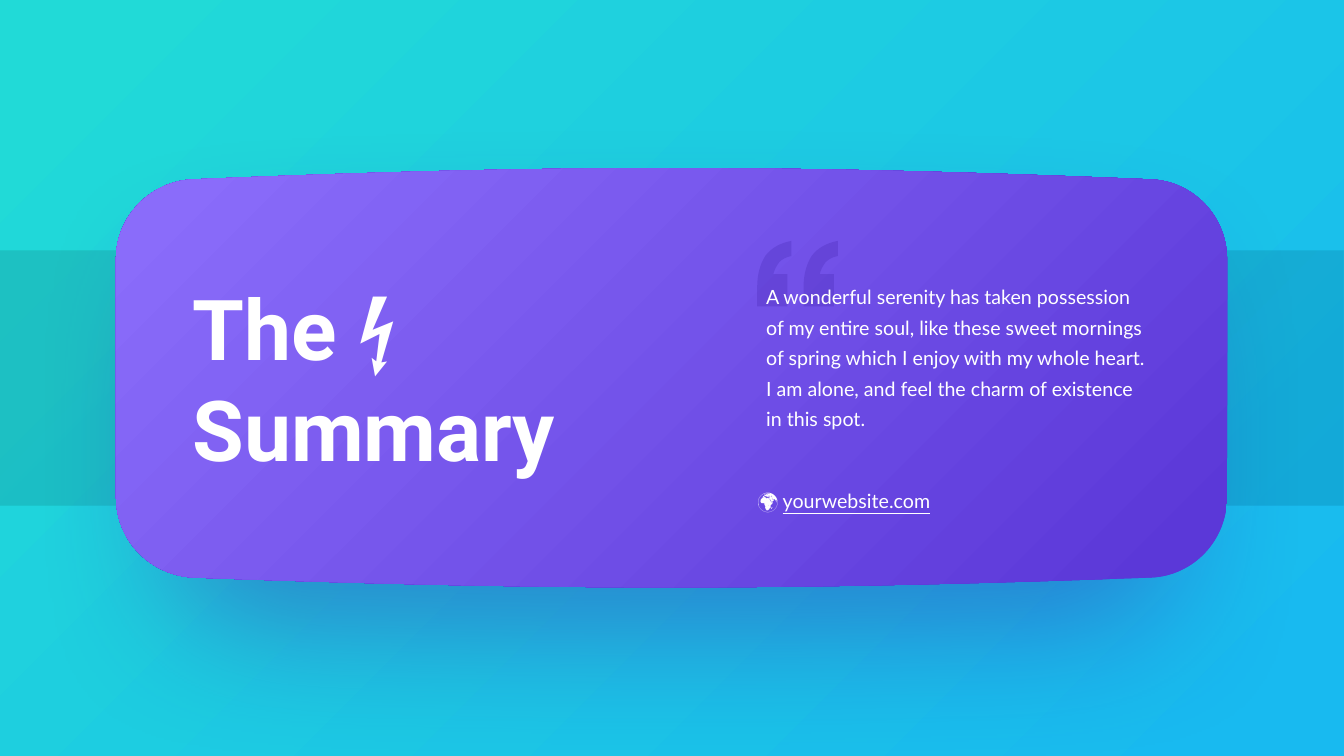
from dataclasses import dataclass

import lxml.etree
import pptx
import pptx.dml.color
import pptx.enum.shapes
import pptx.enum.text
import pptx.oxml.ns
import pptx.util
from pptx.util import Inches

Point = tuple[float, float]
Segment = tuple[Point, ...]


@dataclass(frozen=True)
class Gradient:
    start: str
    end: str
    opacity: int = 100


@dataclass(frozen=True)
class Theme:
    backdrop: Gradient = Gradient("21DAD7", "18BAF0")
    band: Gradient = Gradient("19A3A1", "0C8EBA", 40)
    card: Gradient = Gradient("8A6CFA", "5B38D8")
    deep_violet: str = "3F21AB"
    text: str = "FFFFFF"
    heading_font: str = "Roboto"
    body_font: str = "Lato"
    heading_size: int = 60
    body_size: int = 14


@dataclass(frozen=True)
class Box:
    left: float
    top: float
    width: float
    height: float


@dataclass(frozen=True)
class Outline:
    start: Point
    segments: tuple[Segment, ...]

    def shifted(self, dx: float) -> "Outline":
        return Outline((self.start[0] + dx, self.start[1]),
                       tuple(tuple((x + dx, y) for x, y in segment) for segment in self.segments))


THEME = Theme()
CARD_BOX = Box(1.15, 1.67, 11.02, 4.16)
CARD = Outline((1.15, 2.57), (
    ((1.15, 2.15), (1.49, 1.8), (1.91, 1.78)),
    ((5.5, 1.63), (7.81, 1.63), (11.42, 1.78)),
    ((11.84, 1.8), (12.17, 2.15), (12.17, 2.57)),
    ((12.17, 4.93),),
    ((12.17, 5.36), (11.84, 5.71), (11.42, 5.73)),
    ((7.81, 5.86), (5.5, 5.86), (1.92, 5.73)),
    ((1.49, 5.71), (1.15, 5.36), (1.15, 4.93)),
    ((1.15, 2.57),),
))
QUOTE_BOX = Box(7.51, 2.39, 0.81, 0.66)
QUOTE_GAP = 0.46
QUOTE_MARK = Outline((7.85, 2.39), (
    ((7.85, 2.54),),
    ((7.8, 2.55), (7.76, 2.57), (7.73, 2.6)),
    ((7.7, 2.64), (7.68, 2.68), (7.67, 2.72)),
    ((7.81, 2.72),), ((7.81, 3.04),), ((7.51, 3.04),), ((7.51, 2.85),),
    ((7.51, 2.72), (7.54, 2.62), (7.59, 2.54)),
    ((7.65, 2.46), (7.74, 2.41), (7.85, 2.39)),
))


def add_element(parent, tag: str, **attributes):
    element = lxml.etree.SubElement(parent, pptx.oxml.ns.qn(tag))
    for name, value in attributes.items():
        element.set(name, str(value))
    return element


def add_color(parent, color: str, opacity: int) -> None:
    rgb = add_element(parent, "a:srgbClr", val=color)
    if opacity < 100:
        add_element(rgb, "a:alpha", val=opacity * 1000)


def paint_gradient(fill, owner, gradient: Gradient) -> None:
    fill.gradient()
    grad_fill = owner.find(".//" + pptx.oxml.ns.qn("a:gradFill"))
    grad_fill.clear()
    grad_fill.set("rotWithShape", "1")
    stops = add_element(grad_fill, "a:gsLst")
    for position, color in ((5, gradient.start), (95, gradient.end)):
        add_color(add_element(stops, "a:gs", pos=position * 1000), color, gradient.opacity)
    corner = add_element(grad_fill, "a:path", path="circle")
    add_element(corner, "a:fillToRect", r=100000, b=100000)


def paint_solid(shape, color: str, opacity: int) -> None:
    shape.fill.solid()
    shape.fill.fore_color.rgb = pptx.dml.color.RGBColor.from_string(color)
    rgb = shape._element.spPr.find(".//" + pptx.oxml.ns.qn("a:srgbClr"))
    add_element(rgb, "a:alpha", val=opacity * 1000)


def strip_style(shape) -> None:
    shape.line.fill.background()
    shape.shadow.inherit = False


def place(shape, box: Box) -> None:
    shape.left, shape.top = Inches(box.left), Inches(box.top)
    shape.width, shape.height = Inches(box.width), Inches(box.height)


def add_outlines(slide, box: Box, outlines: list[Outline]):
    builder = slide.shapes.build_freeform(scale=1.0)
    builder.add_line_segments([(Inches(box.width), Inches(box.height))])
    shape = builder.convert_to_shape()
    place(shape, box)
    strip_style(shape)
    contour = shape._element.spPr.find(".//" + pptx.oxml.ns.qn("a:path"))
    contour.clear()
    contour.set("w", str(Inches(box.width)))
    contour.set("h", str(Inches(box.height)))
    for outline in outlines:
        for index, segment in enumerate(((outline.start,), *outline.segments)):
            tag = "a:moveTo" if index == 0 else "a:lnTo" if len(segment) == 1 else "a:cubicBezTo"
            step = add_element(contour, tag)
            for x, y in segment:
                add_element(step, "a:pt", x=Inches(x - box.left), y=Inches(y - box.top))
        add_element(contour, "a:close")
    return shape


def cast_shadow(shape, color: str, opacity: int, blur: int, distance: int, scale: int) -> None:
    effects = shape._element.spPr.find(pptx.oxml.ns.qn("a:effectLst"))
    shadow = add_element(effects, "a:outerShdw", blurRad=pptx.util.Pt(blur),
                         dist=pptx.util.Pt(distance), dir=90 * 60000,
                         sx=scale * 1000, sy=scale * 1000, algn="ctr", rotWithShape=0)
    add_color(shadow, color, opacity)


def write_text(holder, box: Box, text: str, *, font: str, size: int, bold: bool = False,
               spacing: float = 1.0, underlined: str = "") -> None:
    place(holder, box)
    frame = holder.text_frame
    frame.word_wrap = True
    frame.auto_size = pptx.enum.text.MSO_AUTO_SIZE.SHAPE_TO_FIT_TEXT
    frame.vertical_anchor = pptx.enum.text.MSO_ANCHOR.TOP
    paragraph = frame.paragraphs[0]
    paragraph.alignment = pptx.enum.text.PP_ALIGN.LEFT
    paragraph.line_spacing = spacing
    for words, underline in ((text, False), (underlined, True)):
        if not words:
            continue
        run = paragraph.add_run()
        run.text = words
        run.font.name = font
        run.font.size = pptx.util.Pt(size)
        run.font.bold = bold
        run.font.underline = underline
        run.font.color.rgb = pptx.dml.color.RGBColor.from_string(THEME.text)


def main() -> None:
    deck = pptx.Presentation()
    deck.slide_width, deck.slide_height = Inches(13.33), Inches(7.5)
    slide = deck.slides.add_slide(deck.slide_layouts[5])
    paint_gradient(slide.background.fill, slide._element, THEME.backdrop)

    band = slide.shapes.add_shape(pptx.enum.shapes.MSO_SHAPE.RECTANGLE,
                                  0, Inches(2.49), deck.slide_width, Inches(2.52))
    strip_style(band)
    paint_gradient(band.fill, band._element, THEME.band)

    card_layers = [add_outlines(slide, CARD_BOX, [CARD]) for _ in range(2)]
    for layer in card_layers:
        paint_gradient(layer.fill, layer._element, THEME.card)
    cast_shadow(card_layers[0], THEME.deep_violet, opacity=40, blur=100, distance=49, scale=90)
    slide.shapes.add_group_shape(card_layers)

    heading = slide.shapes.title
    slide.shapes._spTree.append(heading._element)
    write_text(heading, Box(1.81, 2.69, 4.86, 2.12), "The ⚡ Summary",
               font=THEME.heading_font, size=THEME.heading_size, bold=True)

    quote_marks = add_outlines(slide, QUOTE_BOX, [QUOTE_MARK.shifted(QUOTE_GAP), QUOTE_MARK])
    paint_solid(quote_marks, THEME.deep_violet, 25)

    quotation = slide.shapes.add_textbox(0, 0, 0, 0)
    write_text(quotation, Box(7.5, 2.71, 4.02, 1.6),
               "A wonderful serenity has taken possession of my entire soul, like these sweet "
               "mornings of spring which I enjoy with my whole heart. I am alone, and feel the "
               "charm of existence in this spot.",
               font=THEME.body_font, size=THEME.body_size, spacing=1.3)

    website = slide.shapes.add_textbox(0, 0, 0, 0)
    write_text(website, Box(7.42, 4.75, 3.1, 0.35), "🌍 ", underlined="yourwebsite.com",
               font=THEME.body_font, size=THEME.body_size, spacing=1.2)

    deck.save("out.pptx")


if __name__ == "__main__":
    main()
